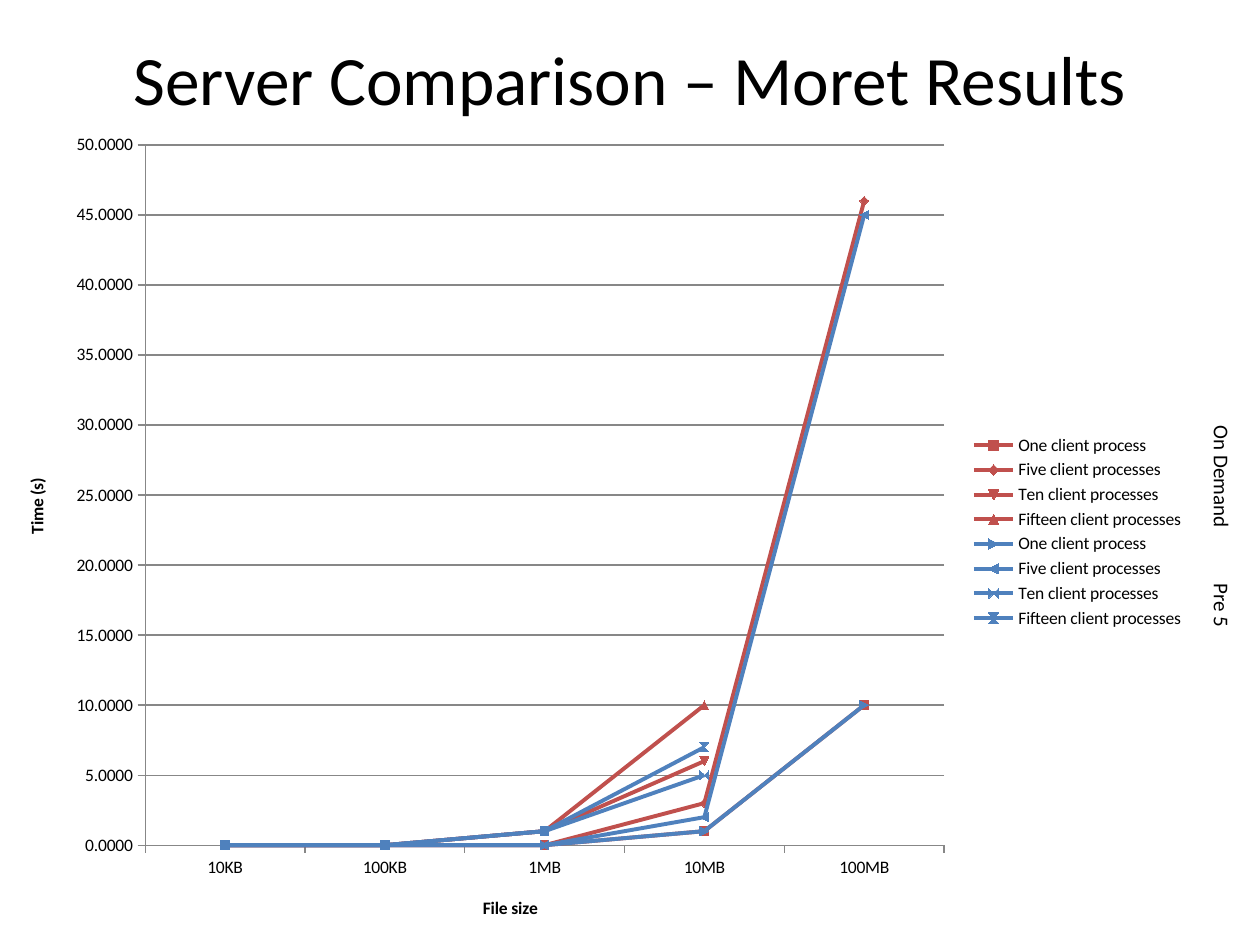
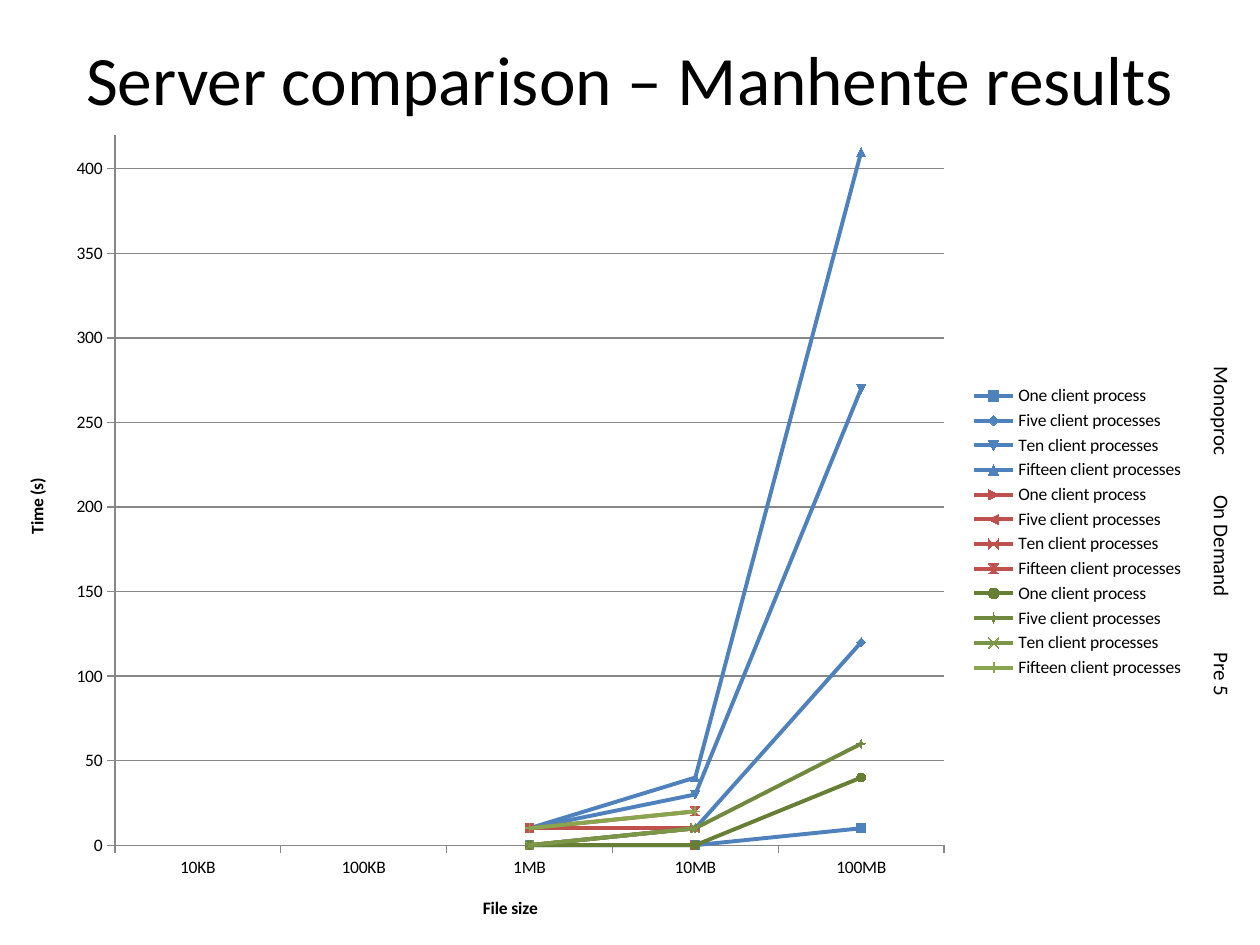
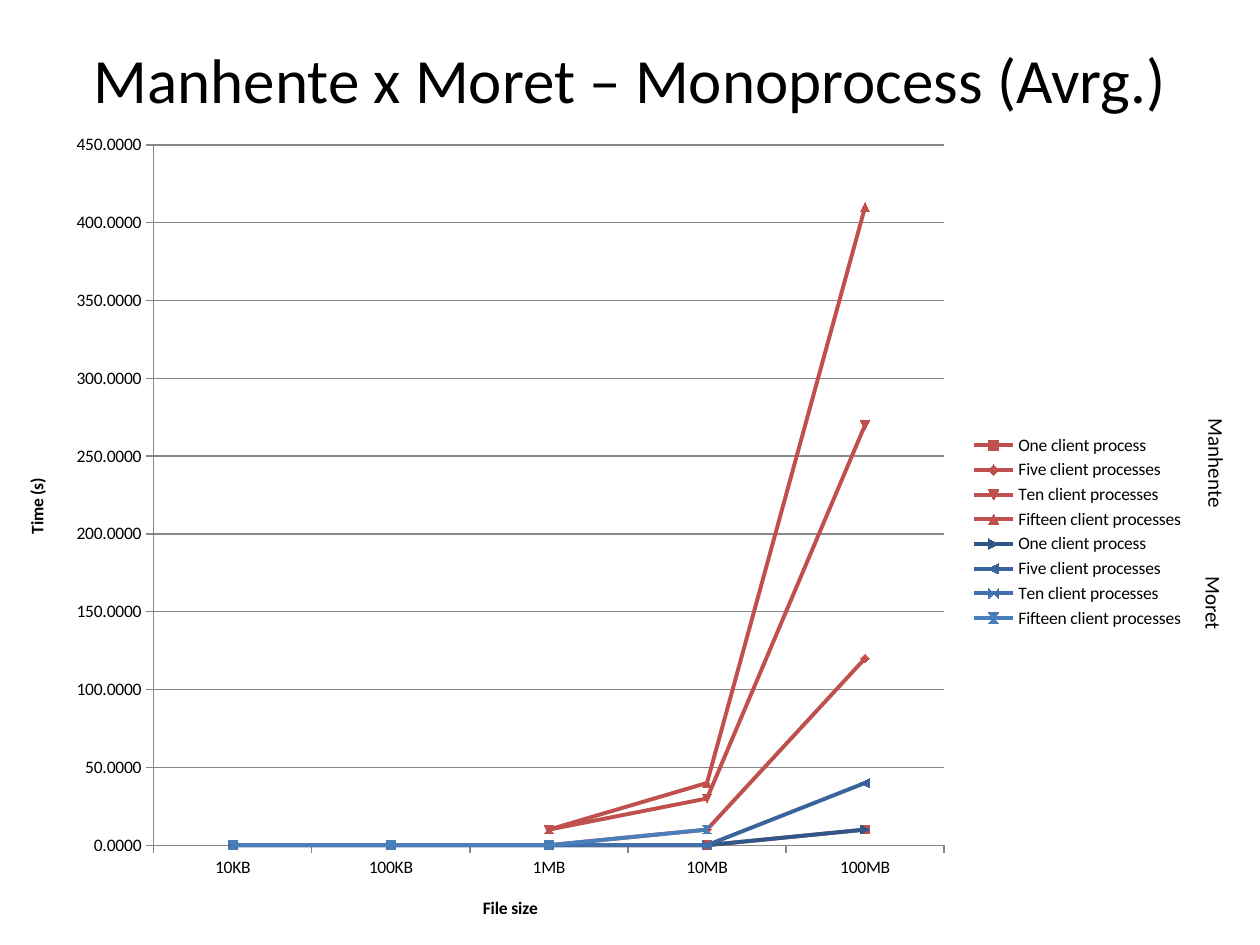
"""Builds three slides of line charts comparing server response times."""
import pptx
import pptx.chart.data
import pptx.dml.color
import pptx.enum.chart
import pptx.enum.text
import pptx.util

Cm = pptx.util.Cm
Pt = pptx.util.Pt

FONT = "Calibri"
BLACK, GRAY = "000000", "878787"
RED, BLUE = "C0504D", "4F81BD"
GREENS = ["667F35", "71893F", "7C9647", "89A54E"]
BLUES = ["2F5787", "39649B", "4270AD", "4A7EBB"]
FILE_SIZES = ["10KB", "100KB", "1MB", "10MB", "100MB"]
CLIENTS = ["One client process", "Five client processes",
           "Ten client processes", "Fifteen client processes"]


def color(hex_value):
    """Turn a hex string into a colour."""
    return pptx.dml.color.RGBColor.from_string(hex_value)


def style_font(font, size, bold=False):
    """Apply the shared typeface and colour."""
    font.name = FONT
    font.size = Pt(size)
    font.bold = bold
    font.color.rgb = color(BLACK)


moret_on_demand = [
    [0, 0, 0, 1, 10],
    [0, 0, 0, 3, 46],
    [0, 0, 1, 6, None],
    [0, 0, 1, 10, None],
]
moret_pre_five = [
    [0, 0, 0, 1, 10],
    [0, 0, 0, 2, 45],
    [0, 0, 1, 5, None],
    [0, 0, 1, 7, None],
]
moret_monoprocess = [
    [0, 0, 0, 0, 10],
    [0, 0, 0, 0, 40],
    [0, 0, 0, 0, None],
    [0, 0, 0, 10, None],
]
manhente_monoprocess = [
    [None, None, 0, 0, 10],
    [None, None, 0, 10, 120],
    [None, None, 10, 30, 270],
    [None, None, 10, 40, 410],
]
manhente_on_demand = [
    [None, None, 0, 0, None],
    [None, None, 0, 10, None],
    [None, None, 10, 10, None],
    [None, None, 10, 20, None],
]
manhente_pre_five = [
    [None, None, 0, 0, 40],
    [None, None, 0, 10, 60],
    [None, None, 0, 10, None],
    [None, None, 10, 20, None],
]

slides = [
    {
        "title": "Server Comparison – Moret Results", "size": 39.6,
        "groups": [(moret_pre_five, [BLUE] * 4), (moret_on_demand, [RED] * 4)],
        "format": "0.0000", "maximum": 50, "step": 5, "rotation": 0,
        "labels": [("On Demand", 24, 8.33, 1.02, 2.34),
                   ("Pre 5", 24, 11.51, 1.02, 1.14)],
    },
    {
        "title": "Server comparison – Manhente results", "size": 39.6,
        "groups": [(manhente_pre_five, GREENS),
                   (manhente_monoprocess, [BLUE] * 4),
                   (manhente_on_demand, [RED] * 4)],
        "format": "General", "maximum": 420, "step": 50, "rotation": 0,
        "labels": [("Monoproc", 24, 7.14, 1.02, 2.08),
                   ("On Demand", 24, 9.73, 1.02, 2.34),
                   ("Pre 5", 24, 12.9, 1.02, 1.14)],
    },
    {
        "title": "Manhente x Moret – Monoprocess (Avrg.)", "size": 36,
        "groups": [(moret_monoprocess, BLUES),
                   (manhente_monoprocess, [RED] * 4)],
        "format": "0.0000", "maximum": 450, "step": 50, "rotation": 90,
        "labels": [("Manhente", 23.37, 8.97, 2.31, 0.76),
                   ("Moret", 23.67, 11.79, 1.6, 0.76)],
    },
]

presentation = pptx.Presentation()
presentation.slide_width = Cm(25.4)
presentation.slide_height = Cm(19.05)

for content in slides:
    slide = presentation.slides.add_slide(presentation.slide_layouts[5])

    title = slide.shapes.title
    title.left, title.top = Cm(1.27), Cm(0.76)
    title.width, title.height = Cm(22.86), Cm(1.63)
    title.text_frame.auto_size = pptx.enum.text.MSO_AUTO_SIZE.NONE
    title.text_frame.vertical_anchor = pptx.enum.text.MSO_ANCHOR.MIDDLE
    paragraph = title.text_frame.paragraphs[0]
    paragraph.alignment = pptx.enum.text.PP_ALIGN.CENTER
    run = paragraph.add_run()
    run.text = content["title"]
    style_font(run.font, content["size"])

    chart_data = pptx.chart.data.CategoryChartData(content["format"])
    chart_data.categories = FILE_SIZES
    series_colors = []
    for timings, group_colors in content["groups"]:
        series_colors.extend(group_colors)
        for client, values in zip(CLIENTS, timings):
            chart_data.add_series(client, values)

    chart = slide.shapes.add_chart(
        pptx.enum.chart.XL_CHART_TYPE.LINE_MARKERS,
        Cm(0), Cm(2.39), Cm(24.13), Cm(16.66), chart_data).chart
    chart.has_title = False
    style_font(chart.font, 10)
    chart.has_legend = True
    chart.legend.position = pptx.enum.chart.XL_LEGEND_POSITION.RIGHT
    chart.legend.include_in_layout = False
    chart.plots[0].vary_by_categories = False

    all_series = list(chart.plots[0].series)
    for series, series_color in zip(all_series, series_colors):
        series.smooth = False
        series.format.line.width = Pt(2.25)
        series.format.line.color.rgb = color(series_color)
        series.marker.size = 5
        series.marker.format.fill.solid()
        series.marker.format.fill.fore_color.rgb = color(series_color)
        series.marker.format.line.color.rgb = color(series_color)

    last_element = all_series[-1]._element
    for series in reversed(all_series[:len(CLIENTS)]):
        last_element.addnext(series._element)

    for axis, axis_title in ((chart.category_axis, "File size"),
                             (chart.value_axis, "Time (s)")):
        axis.format.line.color.rgb = color(GRAY)
        axis.format.line.width = Pt(0.75)
        run = axis.axis_title.text_frame.paragraphs[0].add_run()
        run.text = axis_title
        style_font(run.font, 10, bold=True)

    value_axis = chart.value_axis
    value_axis.minimum_scale = 0
    value_axis.maximum_scale = content["maximum"]
    value_axis.major_unit = content["step"]
    value_axis.tick_labels.number_format = content["format"]
    value_axis.tick_labels.number_format_is_linked = False
    value_axis.major_gridlines.format.line.color.rgb = color(GRAY)
    value_axis.major_gridlines.format.line.width = Pt(0.75)

    for text, left, top, width, height in content["labels"]:
        label = slide.shapes.add_textbox(Cm(left), Cm(top), Cm(width), Cm(height))
        label.rotation = content["rotation"]
        label.text_frame.word_wrap = False
        label.text_frame.auto_size = pptx.enum.text.MSO_AUTO_SIZE.SHAPE_TO_FIT_TEXT
        if not content["rotation"]:
            label.element.txBody.bodyPr.set("vert", "vert")
        run = label.text_frame.paragraphs[0].add_run()
        run.text = text
        style_font(run.font, 12)

presentation.save("out.pptx")
